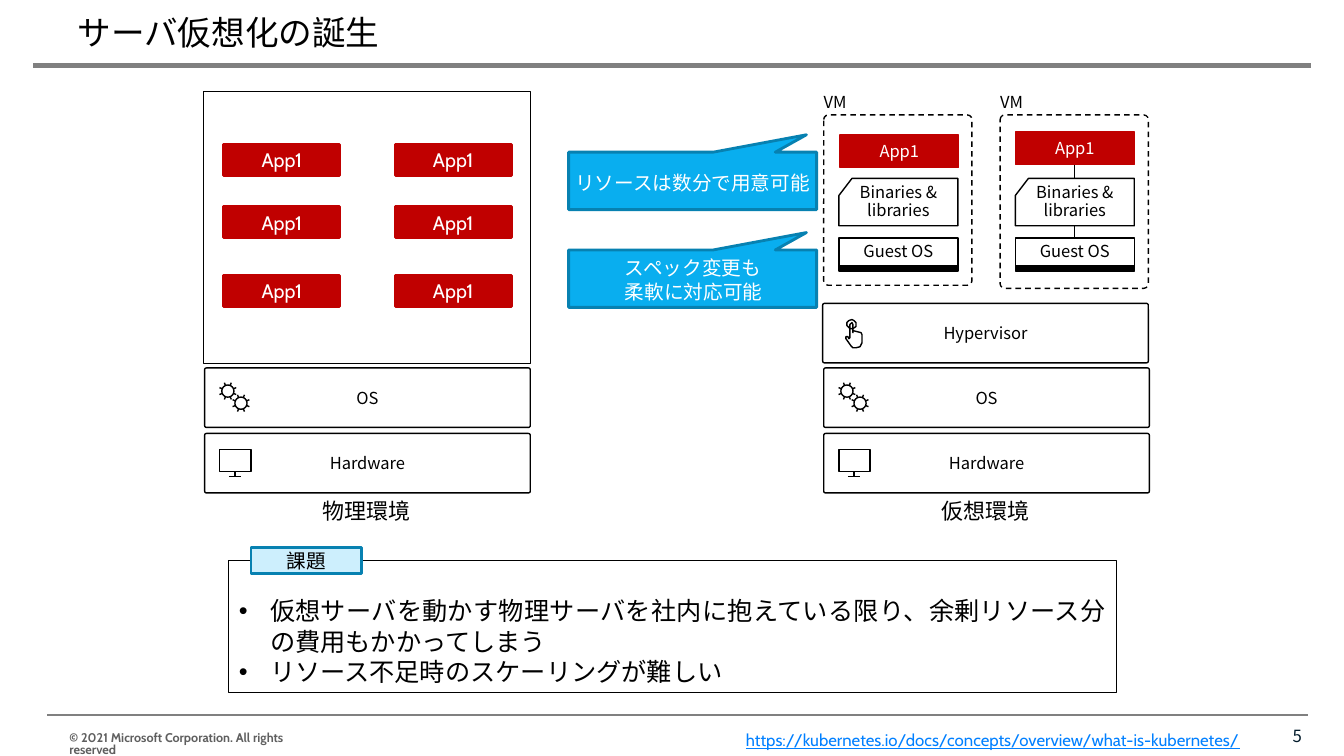
"""Build a slide comparing a physical server with a virtualised one."""
from dataclasses import dataclass
from math import cos, pi, sin
from typing import Optional

from lxml.etree import SubElement
from pptx import Presentation
from pptx.dml.color import RGBColor
from pptx.enum.dml import MSO_LINE
from pptx.enum.shapes import MSO_CONNECTOR, MSO_SHAPE
from pptx.enum.text import MSO_ANCHOR, PP_ALIGN
from pptx.oxml.ns import qn
from pptx.util import Inches, Pt

JAPANESE, LATIN = "Noto Sans CJK JP", "Cabin"
BLACK, WHITE, RED, GRAY = "000000", "FFFFFF", "C00000", "808080"
SKY, PALE_SKY, DEEP_SKY = "09AEEF", "CDEFFD", "0781B1"
CENTER, RIGHT, JUSTIFY = PP_ALIGN.CENTER, PP_ALIGN.RIGHT, PP_ALIGN.JUSTIFY
TOP, MIDDLE, BOTTOM = MSO_ANCHOR.TOP, MSO_ANCHOR.MIDDLE, MSO_ANCHOR.BOTTOM
RECTANGLE, ROUNDED = MSO_SHAPE.RECTANGLE, MSO_SHAPE.ROUNDED_RECTANGLE
DEFAULT_INSETS, NO_INSETS = (0.1, 0.05, 0.1, 0.05), (0, 0, 0, 0)

Point = tuple[float, float]
Contour = list[Point]


@dataclass(frozen=True)
class Box:
    left: float
    top: float
    width: float
    height: float

    def lengths(self) -> list[int]:
        return [Inches(value) for value in (self.left, self.top, self.width, self.height)]


@dataclass(frozen=True)
class VirtualMachine:
    left: float
    height: float
    app_left: float
    app_top: float


@dataclass(frozen=True)
class Environment:
    name: str
    left: float


VIRTUAL_MACHINES = [VirtualMachine(8.17, 1.69, 8.33, 1.34), VirtualMachine(9.92, 1.72, 10.07, 1.31)]
PHYSICAL, VIRTUAL = Environment("物理環境", 2.03), Environment("仮想環境", 8.17)
CALLOUTS = [Box(5.64, 1.51, 2.46, 0.57), Box(5.64, 2.48, 2.46, 0.57)]
HAND = [
    [(0.08, 0.13), (0.08, 0.05), (0.07, 0.03), (0.05, 0.05), (0.05, 0.18), (0.04, 0.19),
     (0.03, 0.17), (0.01, 0.17), (0.01, 0.19), (0.06, 0.26), (0.08, 0.28), (0.11, 0.28),
     (0.15, 0.27), (0.17, 0.23), (0.17, 0.15), (0.16, 0.13), (0.08, 0.11)],
    [(0.08, 0.09), (0.11, 0.07), (0.11, 0.03), (0.09, 0.01), (0.07, 0), (0.04, 0.01),
     (0.02, 0.03), (0.02, 0.06), (0.05, 0.09)],
]
SCREEN = [
    [(0, 0), (0.31, 0), (0.31, 0.22), (0, 0.22), (0, 0)],
    [(0.15, 0.22), (0.15, 0.27)],
    [(0.09, 0.27), (0.21, 0.27)],
]


def color(value: str) -> RGBColor:
    return RGBColor.from_string(value)


def write(shape, text: str, *, size: float = 11.8, font: str = JAPANESE, ink: str = BLACK,
          align=None, anchor=TOP, insets=NO_INSETS, spacing: Optional[float] = None,
          bold: bool = False, underline: bool = False, bullet: bool = False) -> None:
    frame = shape.text_frame
    frame.word_wrap = True
    frame.vertical_anchor = anchor
    frame.margin_left, frame.margin_top, frame.margin_right, frame.margin_bottom = map(Inches, insets)
    for index, content in enumerate(text.split("\n")):
        paragraph = frame.add_paragraph() if index else frame.paragraphs[0]
        paragraph.alignment = align
        paragraph.line_spacing = spacing
        if bullet:
            properties = paragraph._p.get_or_add_pPr()
            properties.set("marL", str(Inches(0.31)))
            properties.set("indent", str(-Inches(0.31)))
            SubElement(properties, qn("a:buFont"), typeface="Arial")
            SubElement(properties, qn("a:buChar"), char="•")
        run = paragraph.add_run()
        run.text = content
        run.font.size = Pt(size)
        run.font.bold = bold
        run.font.underline = underline
        run.font.color.rgb = color(ink)
        run.font.name = font
        SubElement(run._r.get_or_add_rPr(), qn("a:ea"), typeface=JAPANESE)


def add_text(slide, box: Box, text: str, **style) -> None:
    write(slide.shapes.add_textbox(*box.lengths()), text, **style)


def paint(shape, fill: Optional[str], line: str, weight: float) -> None:
    shape.shadow.inherit = False
    if fill:
        shape.fill.solid()
        shape.fill.fore_color.rgb = color(fill)
    else:
        shape.fill.background()
    shape.line.color.rgb = color(line)
    shape.line.width = Pt(weight)


def add_box(slide, box: Box, *, kind=RECTANGLE, fill: Optional[str] = None, line: str = BLACK,
            weight: float = 1, adjustments: tuple = (), text: str = "", **style):
    shape = slide.shapes.add_shape(kind, *box.lengths())
    for index, value in enumerate(adjustments):
        shape.adjustments[index] = value
    paint(shape, fill, line, weight)
    if text:
        write(shape, text, **style)
    return shape


def add_line(slide, start: Point, end: Point, line: str, weight: float) -> None:
    connector = slide.shapes.add_connector(MSO_CONNECTOR.STRAIGHT, *map(Inches, start + end))
    connector.line.color.rgb = color(line)
    connector.line.width = Pt(weight)
    SubElement(connector._element.spPr, qn("a:effectLst"))


def add_outline(slide, left: float, top: float, contours: list[Contour],
                fill: Optional[str] = None) -> None:
    placed = [[(Inches(left + x), Inches(top + y)) for x, y in contour] for contour in contours]
    builder = slide.shapes.build_freeform(*placed[0][0])
    for index, contour in enumerate(placed):
        if index:
            builder.move_to(*contour[0])
        builder.add_line_segments(contour[1:], close=len(contour) > 5)
    paint(builder.convert_to_shape(), fill, BLACK, 1)


def gear(center_x: float, center_y: float) -> list[Contour]:
    def at(radius: float, turn: float) -> Point:
        return center_x + radius * cos(2 * pi * turn), center_y + radius * sin(2 * pi * turn)

    teeth = [[at(0.06, (k + 0.5) / 8), at(0.09, (k + 0.5) / 8)] for k in range(8)]
    return [[at(0.06, k / 24) for k in range(24)], *teeth]


def add_layer(slide, left: float, top: float, name: str) -> None:
    add_box(slide, Box(left, top, 3.23, 0.59), kind=ROUNDED, adjustments=(0.031,), text=name,
            align=CENTER, anchor=MIDDLE, insets=(0.2, 0.16, 0.2, 0.16))


def add_environment(slide, environment: Environment) -> None:
    left = environment.left
    add_layer(slide, left, 4.3, "Hardware")
    add_outline(slide, left + 0.15, 4.46, SCREEN)
    add_layer(slide, left, 3.65, "OS")
    add_outline(slide, left + 0.16, 3.81, gear(0.07, 0.07) + gear(0.2, 0.19))
    add_text(slide, Box(left - 0.11, 4.94, 3.43, 0.26), environment.name, size=15.7, align=CENTER)


def add_virtual_machine(slide, machine: VirtualMachine) -> None:
    left = machine.left + 0.15
    add_outline(slide, left, 1.77, [[(0, 0.17), (0.13, 0), (1.18, 0), (1.18, 0.47), (0, 0.47), (0, 0.17)]],
                WHITE)
    add_text(slide, Box(left + 0.07, 1.83, 1.04, 0.36), "Binaries & libraries", align=CENTER, spacing=0.9)
    add_box(slide, Box(machine.app_left, machine.app_top, 1.18, 0.32), fill=RED, line=RED,
            text="App1", ink=WHITE, align=CENTER, anchor=MIDDLE)
    add_box(slide, Box(left, 2.36, 1.18, 0.32))
    add_box(slide, Box(left, 2.64, 1.18, 0.05), fill=BLACK)
    add_text(slide, Box(left + 0.07, 2.41, 1.04, 0.18), "Guest OS", align=CENTER, spacing=0.9)
    frame = add_box(slide, Box(machine.left, 1.14, 1.47, machine.height), kind=ROUNDED, adjustments=(0.031,))
    frame.line.dash_style = MSO_LINE.DASH
    add_text(slide, Box(machine.left, 0.91, 0.77, 0.2), "VM", anchor=BOTTOM)


def main() -> None:
    presentation = Presentation()
    presentation.slide_width, presentation.slide_height = Inches(13.33), Inches(7.5)
    slide = presentation.slides.add_slide(presentation.slide_layouts[6])
    cabin = {"font": LATIN, "insets": DEFAULT_INSETS}

    add_text(slide, Box(0.67, 0.08, 12, 0.47), "サーバ仮想化の誕生", size=24, anchor=MIDDLE, **cabin)
    add_line(slide, (0.33, 0.65), (13, 0.65), GRAY, 3)
    add_line(slide, (0.47, 7.09), (12.97, 7.09), GRAY, 1.5)
    add_text(slide, Box(0.59, 7.22, 2.45, 0.23), "© 2021 Microsoft Corporation. All rights reserved",
             size=9, ink="5F5F5F", bold=True, spacing=0.8, **cabin)
    add_text(slide, Box(9.9, 7.1, 3.11, 0.4), "5", size=12, ink="021B2B", align=RIGHT,
             anchor=MIDDLE, insets=DEFAULT_INSETS)
    add_text(slide, Box(7.3, 7.19, 5.3, 0.3), "https://kubernetes.io/docs/concepts/overview/what-is-kubernetes/",
             size=12, ink="0080FF", underline=True, **cabin)

    for callout in CALLOUTS:
        add_box(slide, callout, kind=MSO_SHAPE.RECTANGULAR_CALLOUT, adjustments=(0.459, -0.803),
                fill=SKY, line=DEEP_SKY, weight=2)
    add_text(slide, Box(5.57, 1.65, 2.6, 0.34), "リソースは数分で用意可能", size=14, ink=WHITE, align=CENTER, **cabin)
    add_text(slide, Box(6.1, 2.49, 1.7, 0.57), "スペック変更も\n柔軟に対応可能", size=14, ink=WHITE,
             align=JUSTIFY, **cabin)

    add_environment(slide, PHYSICAL)
    add_box(slide, Box(2.02, 0.91, 3.24, 2.7), fill=WHITE)
    for top in (1.43, 2.05, 2.73):
        for left in (2.22, 3.92):
            add_box(slide, Box(left, top, 1.15, 0.31), fill=RED, line=RED, weight=2, text="App1",
                    size=14, ink=WHITE, align=CENTER, anchor=MIDDLE, **cabin)

    add_environment(slide, VIRTUAL)
    add_layer(slide, 8.16, 3.01, "Hypervisor")
    add_outline(slide, 8.38, 3.17, HAND)
    add_line(slide, (10.66, 1.64), (10.66, 2.36), BLACK, 1)
    for machine in VIRTUAL_MACHINES:
        add_virtual_machine(slide, machine)

    add_box(slide, Box(2.27, 5.56, 8.8, 1.31), weight=0.75, size=18, align=JUSTIFY, bullet=True,
            text="仮想サーバを動かす物理サーバを社内に抱えている限り、余剰リソース分の費用もかかってしまう\n"
                 "リソース不足時のスケーリングが難しい", font=LATIN, insets=(0.1, 0.35, 0.1, 0.05))
    add_box(slide, Box(2.49, 5.43, 1.1, 0.26), fill=PALE_SKY, line=DEEP_SKY, weight=2, text="課題",
            size=14, align=CENTER, anchor=MIDDLE, **cabin)
    presentation.save("out.pptx")


if __name__ == "__main__":
    main()
